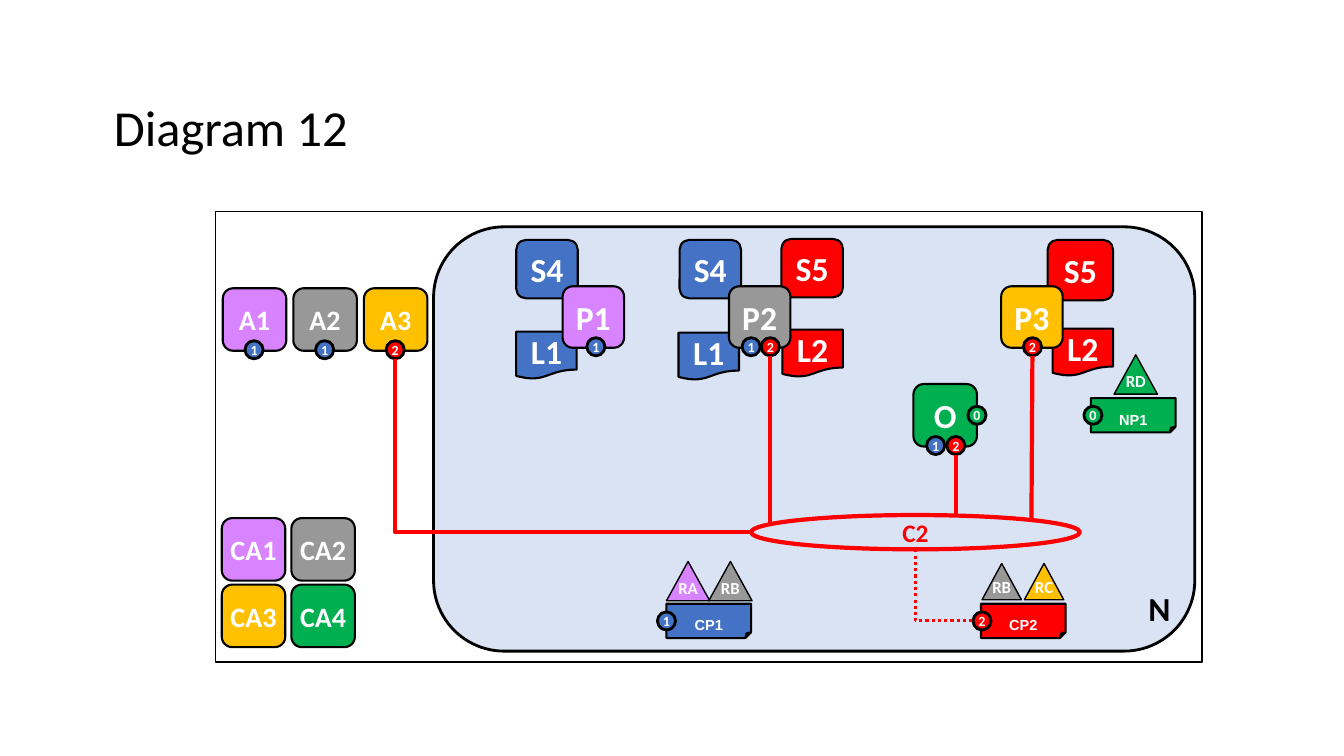
import pptx
import pptx.util
import pptx.dml.color
import pptx.enum.dml
import pptx.enum.shapes
import pptx.enum.text
import pptx.oxml.ns
import pptx.oxml.xmlchemy
import lxml.etree

Inches = pptx.util.Inches
Shapes = pptx.enum.shapes.MSO_SHAPE
Connectors = pptx.enum.shapes.MSO_CONNECTOR
Align = pptx.enum.text.PP_ALIGN

BLACK, WHITE, PALE = "000000", "FFFFFF", "DAE3F3"
BLUE, RED, GREEN = "4472C4", "FF0000", "00B050"
PURPLE, GREY, GOLD = "D883FF", "989898", "FFC000"

STYLES = {
    "application": dict(kind=Shapes.ROUNDED_RECTANGLE, width=0.63, height=0.62, size=20),
    "service": dict(kind=Shapes.ROUNDED_RECTANGLE, width=0.61, height=0.58, size=24),
    "peer": dict(kind=Shapes.ROUNDED_RECTANGLE, width=0.61, height=0.61, size=24),
    "ledger": dict(kind=Shapes.FLOWCHART_DOCUMENT, width=0.6, height=0.47, size=24),
    "policy": dict(kind=Shapes.FOLDED_CORNER, width=0.84, height=0.34, size=18,
                   font="Arial", baseline=-25, insets=(0.05, 0.08)),
    "role": dict(kind=Shapes.ISOSCELES_TRIANGLE, width=0.43, height=0.39, size=12,
                 weight=1, insets=(0.05, 0.12)),
    "small role": dict(kind=Shapes.ISOSCELES_TRIANGLE, width=0.39, height=0.36, size=12,
                       weight=1, insets=(0.05, 0.12)),
    "badge": dict(kind=Shapes.OVAL, width=0.18, height=0.18, size=10, weight=2),
}

APPLICATIONS = [("A1", PURPLE), ("A2", GREY), ("A3", GOLD)]
AUTHORITIES = [("CA1", PURPLE), ("CA2", GREY), ("CA3", GOLD), ("CA4", GREEN)]

NODES = [
    ("policy", "CP1", BLUE, 6.61, 5.99),
    ("policy", "CP2", RED, 9.73, 5.99),
    ("policy", "NP1", GREEN, 10.82, 3.95),
    ("role", "RA", PURPLE, 6.61, 5.57),
    ("role", "RB", GREY, 7.03, 5.57),
    ("small role", "RB", GREY, 9.74, 5.59),
    ("small role", "RC", GOLD, 10.16, 5.59),
    ("role", "RD", GREEN, 11.05, 3.52),
    ("ledger", "L1", BLUE, 5.12, 3.29),
    ("ledger", "L1", BLUE, 6.73, 3.3),
    ("ledger", "L2", RED, 7.76, 3.27),
    ("ledger", "L2", RED, 10.44, 3.26),
    ("service", "S4", BLUE, 5.12, 2.38),
    ("service", "S4", BLUE, 6.74, 2.38),
    ("service", "S5", RED, 7.75, 2.37),
    ("peer", "P1", PURPLE, 5.58, 2.84),
    ("peer", "P2", GREY, 7.23, 2.84),
    ("application", "O", GREEN, 9.06, 3.81),
]

BADGE_COLOURS = {"0": GREEN, "1": BLUE, "2": RED}
BADGES = [
    ("0", 9.6, 4.03), ("0", 10.75, 4.03), ("1", 9.19, 4.33), ("2", 9.39, 4.33),
    ("1", 5.82, 3.35), ("1", 7.36, 3.35), ("2", 7.55, 3.35), ("2", 10.15, 3.35),
    ("1", 2.43, 3.38), ("1", 3.13, 3.38), ("2", 3.83, 3.38),
    ("1", 6.52, 6.07), ("2", 9.65, 6.07),
]

CHANNEL_LINES = [(9.48, 4.51, 9.48, 5.11), (10.24, 3.53, 10.23, 5.16), (7.64, 3.53, 7.64, 5.2)]

presentation = pptx.Presentation()
presentation.slide_width = Inches(13.33)
presentation.slide_height = Inches(7.5)
slide = presentation.slides.add_slide(presentation.slide_layouts[6])


def colour(value):
    return pptx.dml.color.RGBColor.from_string(value)


def write(shape, text, size=20, font="Calibri", ink=WHITE, bold=True, align=Align.CENTER,
          insets=(0.05, 0.05), side=0, baseline=0, spacing=None, wrap=False):
    frame = shape.text_frame
    frame.word_wrap = wrap
    frame.vertical_anchor = pptx.enum.text.MSO_ANCHOR.MIDDLE
    frame.margin_left = frame.margin_right = Inches(side)
    frame.margin_top, frame.margin_bottom = map(Inches, insets)
    paragraph = frame.paragraphs[0]
    paragraph.alignment = align
    paragraph.line_spacing = spacing
    run = paragraph.add_run()
    run.text = text
    run.font.name = font
    run.font.size = pptx.util.Pt(size)
    run.font.bold = bold
    run.font.color.rgb = colour(ink)
    if baseline:
        run.font._element.set("baseline", str(baseline * 1000))


def add_box(kind, left, top, width, height, fill=None, line=BLACK, weight=1.5):
    shape = slide.shapes.add_shape(kind, *map(Inches, (left, top, width, height)))
    shape.shadow.inherit = False
    if fill:
        shape.fill.solid()
        shape.fill.fore_color.rgb = colour(fill)
    else:
        shape.fill.background()
    shape.line.color.rgb = colour(line)
    shape.line.width = pptx.util.Pt(weight)
    return shape


def add_text(text, left, top, width, height, **text_format):
    box = slide.shapes.add_textbox(*map(Inches, (left, top, width, height)))
    write(box, text, ink=BLACK, **text_format)


def add_node(style, text, fill, left, top, **changes):
    options = {**STYLES[style], **changes}
    kind, width, height = (options.pop(name) for name in ("kind", "width", "height"))
    weight = options.pop("weight", 1.5)
    write(add_box(kind, left, top, width, height, fill, weight=weight), text, **options)


def add_line(kind, x1, y1, x2, y2, weight=3):
    connector = slide.shapes.add_connector(kind, *map(Inches, (x1, y1, x2, y2)))
    connector.line.color.rgb = colour(RED)
    connector.line.width = pptx.util.Pt(weight)
    properties = connector._element.spPr
    lxml.etree.SubElement(properties, pptx.oxml.ns.qn("a:effectLst"))
    return connector


def add_down_then_right(x1, y1, x2, y2, weight=3):
    across, down = x2 - x1, y2 - y1
    left, top = (x1 + x2 - down) / 2, (y1 + y2 - across) / 2
    connector = add_line(Connectors.ELBOW, left, top, left + down, top + across, weight)
    properties = connector._element.spPr
    frame = properties.find(pptx.oxml.ns.qn("a:xfrm"))
    frame.set("rot", str(270 * 60000))
    frame.set("flipH", "1")
    properties.find(pptx.oxml.ns.qn("a:prstGeom")).set("prst", "bentConnector2")
    return connector


add_box(Shapes.ROUNDED_RECTANGLE, 4.3, 2.25, 7.55, 4.21, PALE, weight=2)
add_text("N", 11.28, 5.78, 0.44, 0.5, size=24)
add_box(Shapes.RECTANGLE, 2.14, 2.1, 9.78, 4.47, weight=1)
add_text("Diagram 12", 1.08, 0.57, 11.5, 1.45, size=36, bold=False, align=Align.LEFT,
         side=0.05, spacing=0.9, wrap=True)

for index, (name, fill) in enumerate(APPLICATIONS):
    add_node("application", name, fill, 2.21 + 0.7 * index, 2.86)
for index, (name, fill) in enumerate(AUTHORITIES):
    row, column = divmod(index, 2)
    add_node("application", name, fill, 2.2 + 0.69 * column, 5.14 + 0.66 * row)
for node in NODES:
    add_node(*node, **({"size": 24} if node[1] == "O" else {}))
add_node("service", "S5", RED, 10.39, 2.38, width=0.65, height=0.6)
add_node("peer", "P3", GOLD, 9.93, 2.84)

for number, left, top in BADGES:
    add_node("badge", number, BADGE_COLOURS[number], left, top)

for ends in CHANNEL_LINES:
    add_line(Connectors.STRAIGHT, *ends)
channel = add_box(Shapes.OVAL, 7.45, 5.11, 3.26, 0.34, line=RED, weight=3)
write(channel, "C2", size=18, ink=RED)
policy_link = add_down_then_right(9.08, 5.45, 9.65, 6.16, weight=2.25)
policy_link.line.dash_style = pptx.enum.dml.MSO_LINE.ROUND_DOT
add_down_then_right(3.92, 3.56, 7.45, 5.28)

presentation.save("out.pptx")
